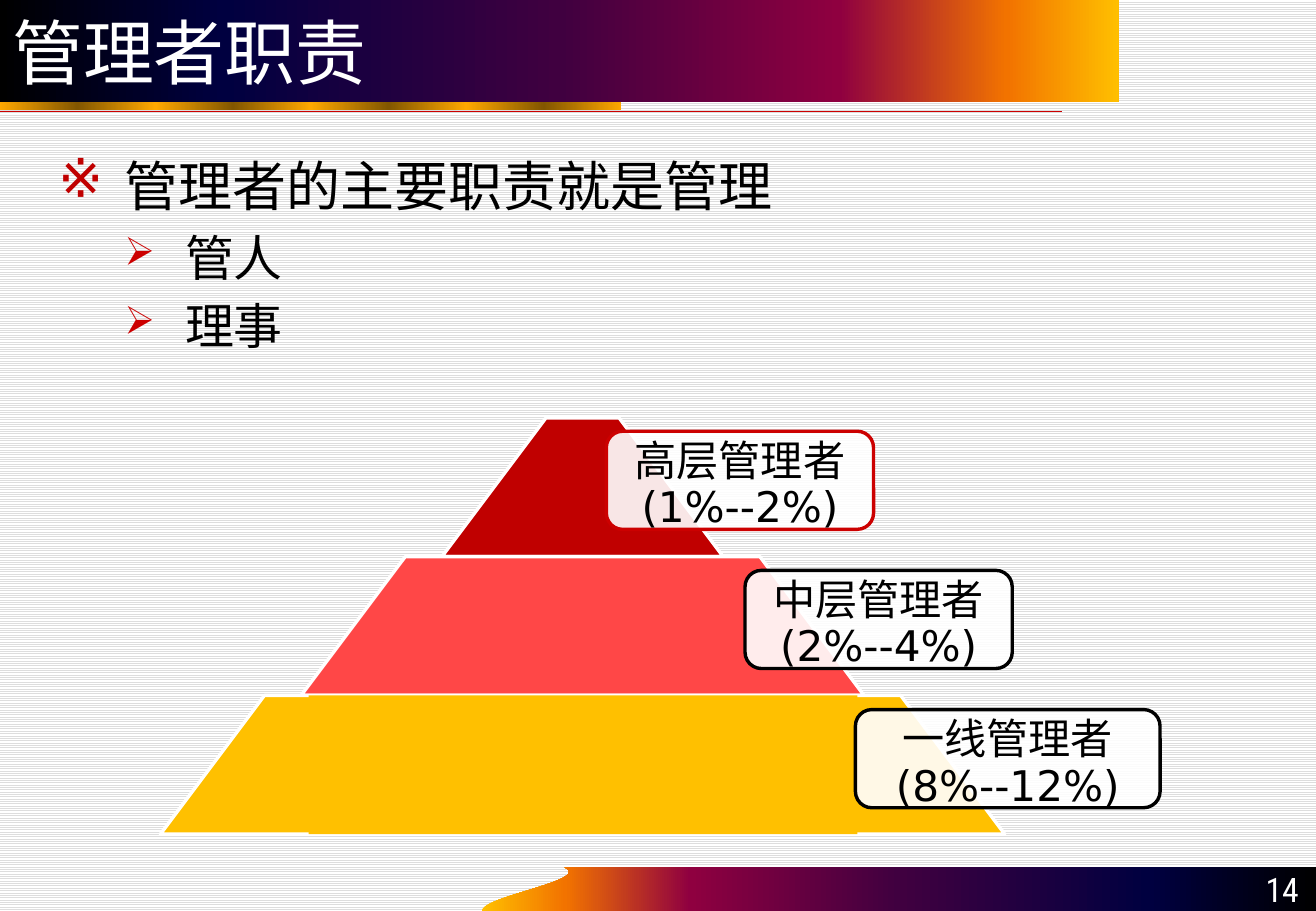
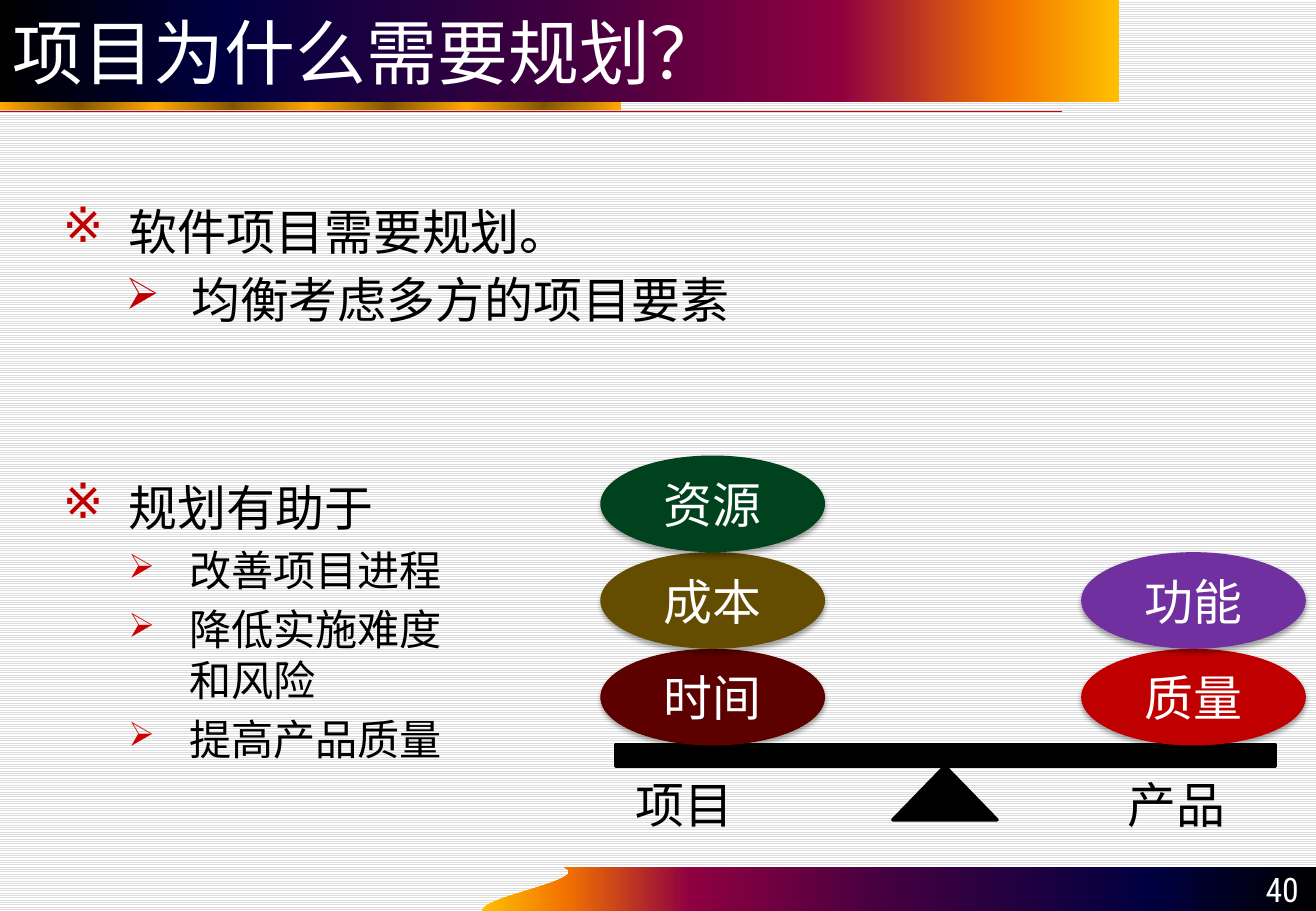
from dataclasses import dataclass
from lxml.etree import SubElement as Sub
from pptx import Presentation
from pptx.dml.color import RGBColor as Rgb
from pptx.enum.dml import MSO_PATTERN as Pat
from pptx.enum.shapes import MSO_CONNECTOR as Link, MSO_SHAPE as Form, PP_PLACEHOLDER as Hold
from pptx.enum.text import MSO_ANCHOR as Anchor, MSO_AUTO_SIZE as Auto, PP_ALIGN as Align
from pptx.oxml.ns import qn
from pptx.util import Inches, Pt


@dataclass(frozen=True)
class Theme:
    black: str = "000000"
    white: str = "FFFFFF"
    stripe: str = "DDDDDD"
    red: str = "CC0000"
    deep: str = "C00000"
    coral: str = "FF4747"
    amber: str = "FFC000"
    wine: str = "5C0000"
    olive: str = "644C00"
    green: str = "00421E"
    purple: str = "7030A0"
    dusk: tuple = ((0, "000000"), (20, "000040"), (50, "400040"),
                   (75, "8F0040"), (90, "F27300"), (100, "FFBF00"))
    gold: tuple = ("FFA800", "825600")
    sans: str = "DejaVu Sans"
    han: str = "Noto Sans CJK SC"
    slim: str = "Roboto Condensed"
    head: int = 42
    big: int = 32
    mid: int = 29
    small: int = 25
    page: int = 20


T = Theme()
COLS, ROWS = 130, 90
CELL = Inches(1) / 12
LEVELS = {
    "top": (6.5, 6.5, "※", T.deep, 100),
    "sub": (12.5, 6, "➢", T.red, 80),
    "wide": (12.7, 6.5, "➢", T.deep, 90),
}


def cells(*nums):
    return [round(n * CELL) for n in nums]


def curve(a, b, c, d, steps=24):
    for i in range(steps + 1):
        t = i / steps
        u = 1 - t
        yield tuple(u**3 * p + 3 * u * u * t * q + 3 * u * t * t * r + t**3 * s
                    for p, q, r, s in zip(a, b, c, d))


class Deck:
    def __init__(self):
        self.prs = Presentation()
        self.prs.slide_width, self.prs.slide_height = cells(COLS, ROWS)
        self.base = self.prs.slide_layouts[5]
        for ph in list(self.base.placeholders):
            if ph.placeholder_format.type != Hold.TITLE:
                ph.element.getparent().remove(ph.element)
        back = self.base.background.fill
        back.patterned()
        back.pattern = Pat.LIGHT_HORIZONTAL
        back.fore_color.rgb = Rgb.from_string(T.stripe)
        back.back_color.rgb = Rgb.from_string(T.white)

    def page(self, title, num):
        self.slide = self.prs.slides.add_slide(self.base)
        self.shapes = self.slide.shapes
        if len(self.prs.slides) == 1:
            self.frame()
        head = self.shapes.title
        head.left, head.top, head.width, head.height = cells(0, 0, 110.5, 10.1)
        self.blend(head, T.dusk)
        self.setup(head, Anchor.MIDDLE)
        self.fill(head.text_frame.paragraphs[0], [(title, T.sans)], T.head, T.white)
        self.text((118, 85.6, 11.5, 4.8), str(num), T.page, T.white, T.slim,
                  Align.RIGHT, Anchor.BOTTOM)

    def frame(self):
        build = None
        edge = curve((47.6, 90), (47.6, 88.56), (58.44, 87), (55.8, 85.7))
        for spot in [*edge, (COLS, 85.7), (COLS, ROWS)]:
            x, y = cells(*spot)
            if build is None:
                build = self.shapes.build_freeform(x, y)
            else:
                build.add_line_segments([(x, y)], close=False)
        build.add_line_segments([], close=True)
        foot = build.convert_to_shape()
        foot.shadow.inherit = False
        foot.line.fill.background()
        self.blend(foot, [(100 - at, tint) for at, tint in reversed(T.dusk)])
        strip = self.shape(Form.RECTANGLE, (0, 9.1, 61.4, 1.8), T.amber)
        self.blend(strip, [(i * 12.5, T.gold[i % 2]) for i in range(9)])
        rule = self.shapes.add_connector(Link.STRAIGHT, *cells(0, 11, 104.9, 11))
        rule.line.color.rgb = Rgb.from_string(T.red)
        rule.line.width = Pt(0.75)
        Sub(rule._element.spPr, qn("a:effectLst"))
        for part in (foot, strip, rule):
            self.base.shapes.element.append(part.element)

    def blend(self, shape, stops):
        shape.fill.gradient()
        shape.fill.gradient_angle = 0
        marks = shape.element.spPr.find(qn("a:gradFill")).find(qn("a:gsLst"))
        for old in list(marks):
            marks.remove(old)
        for at, tint in stops:
            mark = Sub(marks, qn("a:gs"), pos=str(round(at * 1000)))
            Sub(mark, qn("a:srgbClr"), val=tint)

    def shape(self, form, box, fill, line=None, adj=None, alpha=None):
        item = self.shapes.add_shape(form, *cells(*box))
        item.shadow.inherit = False
        item.fill.solid()
        item.fill.fore_color.rgb = Rgb.from_string(fill)
        if line:
            item.line.color.rgb = Rgb.from_string(line)
            item.line.width = Pt(2)
        else:
            item.line.fill.background()
        if adj:
            item.adjustments[0] = adj
        if alpha:
            tint = item.element.spPr.find(qn("a:solidFill"))[0]
            Sub(tint, qn("a:alpha"), val=str(alpha * 1000))
        return item

    def setup(self, item, anchor, pads=(1.2, 0.6, 1.2, 0.6), wrap=True):
        frame = item.text_frame
        frame.auto_size = Auto.NONE
        frame.word_wrap = wrap
        frame.vertical_anchor = anchor
        (frame.margin_left, frame.margin_top,
         frame.margin_right, frame.margin_bottom) = cells(*pads)
        return frame

    def fill(self, para, parts, size, tint, align=Align.LEFT, pitch=None):
        para.alignment = align
        if pitch:
            para.line_spacing = Pt(size * pitch)
        for i, (words, face) in enumerate(parts):
            if i:
                para.add_line_break()
            run = para.add_run()
            run.text = words
            font = run.font
            font.size = Pt(size)
            font.name = face
            font.color.rgb = Rgb.from_string(tint)
            Sub(font._element, qn("a:ea"), typeface=face)

    def text(self, box, words, size, tint, face=T.han, align=Align.LEFT,
             anchor=Anchor.TOP, pads=(1.2, 0.6, 1.2, 0.6), wrap=True, pitch=None):
        item = self.shapes.add_textbox(*cells(*box))
        frame = self.setup(item, anchor, pads, wrap)
        self.fill(frame.paragraphs[0], [(words, face)], size, tint, align, pitch)

    def bullets(self, box, rows):
        item = self.shapes.add_textbox(*cells(*box))
        frame = self.setup(item, Anchor.TOP)
        for i, (kind, size, face, *lines) in enumerate(rows):
            para = frame.add_paragraph() if i else frame.paragraphs[0]
            left, hang, sign, tint, scale = LEVELS[kind]
            props = para._p.get_or_add_pPr()
            edge, back = cells(left, -hang)
            props.set("marL", str(edge))
            props.set("indent", str(back))
            Sub(Sub(props, qn("a:buClr")), qn("a:srgbClr"), val=tint)
            Sub(props, qn("a:buSzPct"), val=str(scale * 1000))
            Sub(props, qn("a:buChar"), char=sign)
            if kind != "top":
                para.level = 1
            if i:
                para.space_before = Pt(size * 0.2)
            self.fill(para, [(line, face) for line in lines], size, T.black, pitch=1.2)

    def label(self, box, line, name, share):
        item = self.shape(Form.ROUNDED_RECTANGLE, box, T.white, line, alpha=90)
        frame = self.setup(item, Anchor.MIDDLE, (0.8, 0.9, 0.8, 0))
        self.fill(frame.paragraphs[0], [(name, T.han), (share, T.sans)],
                  T.small, T.black, Align.CENTER, 1.1)

    def oval(self, box, fill, words):
        item = self.shape(Form.OVAL, box, fill)
        shade = Sub(item.element.spPr.find(qn("a:effectLst")), qn("a:outerShdw"),
                    blurRad=str(int(Pt(3.1))), dist=str(int(Pt(1.8))),
                    dir="5400000", rotWithShape="0")
        tint = Sub(shade, qn("a:srgbClr"), val=T.black)
        Sub(tint, qn("a:alpha"), val="35000")
        frame = self.setup(item, Anchor.MIDDLE, (0.5, 0.25, 0.5, 0.25))
        self.fill(frame.paragraphs[0], [(words, T.han)], T.mid, T.white, Align.CENTER)


def duties(deck):
    deck.page("管理者职责", 14)
    deck.bullets((4.6, 14.5, 121, 30), [
        ("top", T.big, T.han, "管理者的主要职责就是管理"),
        ("sub", T.mid, T.han, "管人"),
        ("sub", T.mid, T.han, "理事"),
    ])
    mid, top, tall, step = 57.55, 41.3, 13.7, 27.8
    for i, fill in enumerate((T.deep, T.coral, T.amber)):
        wide = step * (i + 1)
        deck.shape(Form.TRAPEZOID, (mid - wide / 2, top + i * tall, wide, tall),
                   fill, T.white, 0.75)
    deck.shape(Form.RECTANGLE, (30.5, top + 2 * tall, 54.2, tall), T.amber)
    tags = [
        (59.9, 26.4, T.red, "高层管理者", "(1%--2%)"),
        (73.6, 26.4, T.black, "中层管理者", "(2%--4%)"),
        (84.5, 30.1, T.black, "一线管理者", "(8%--12%)"),
    ]
    for i, (left, wide, line, name, share) in enumerate(tags):
        deck.label((left, 42.6 + i * 13.75, wide, 9.7), line, name, share)


def plans(deck):
    deck.page("项目为什么需要规划？", 40)
    deck.bullets((5, 46.6, 46.7, 31), [
        ("top", T.mid, T.han, "规划有助于"),
        ("sub", T.small, T.han, "改善项目进程"),
        ("sub", T.small, T.han, "降低实施难度", "和风险"),
        ("sub", T.small, T.han, "提高产品质量"),
    ])
    deck.shape(Form.RECTANGLE, (60.8, 73.6, 65.2, 2.1), T.black, T.black)
    deck.shape(Form.ISOSCELES_TRIANGLE, (88.2, 75.7, 10.3, 5.3), T.black, T.black)
    piles = [
        (59.3, 62.3, "项目", [(T.wine, "时间"), (T.olive, "成本"), (T.green, "资源")]),
        (106.8, 110.9, "产品", [(T.deep, "质量"), (T.purple, "功能")]),
    ]
    tall = 9.55
    for left, side, name, pile in piles:
        for i, (fill, words) in enumerate(pile):
            deck.oval((left, 64.1 - i * tall, 22.2, tall), fill, words)
        deck.text((side, 76.3, 10.8, 6.4), name, T.mid, T.black,
                  pads=(0.5, 0.25, 0.5, 0.25), wrap=False, pitch=1.2)
    deck.bullets((5, 19.3, 110.8, 16), [
        ("top", T.mid, T.sans, "软件项目需要规划。"),
        ("wide", T.mid, T.han, "均衡考虑多方的项目要素"),
    ])


def main():
    deck = Deck()
    duties(deck)
    plans(deck)
    deck.prs.save("out.pptx")


if __name__ == "__main__":
    main()
